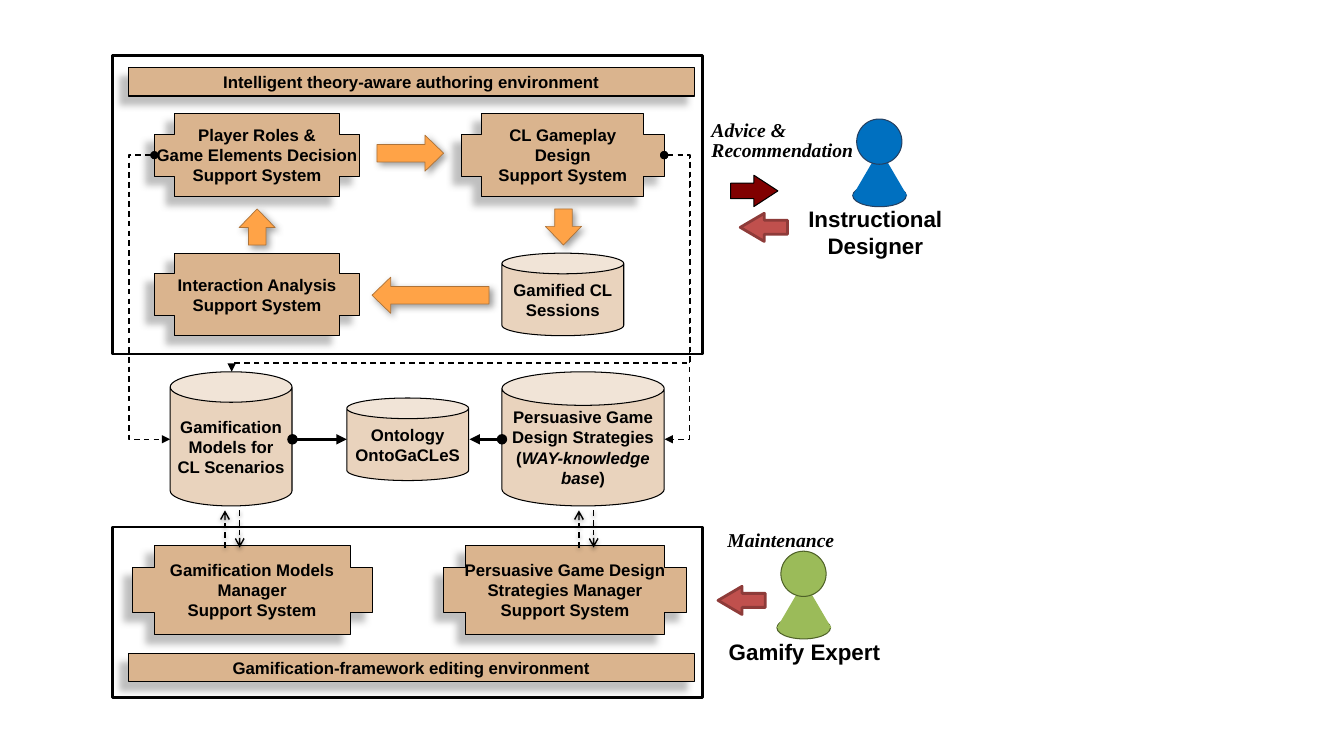
from dataclasses import dataclass

from lxml import etree
from pptx import Presentation
from pptx import util as u
from pptx.dml.color import RGBColor
from pptx.enum import dml, shapes, text
from pptx.oxml import ns

KIND = shapes.MSO_SHAPE
MID, LEFT = text.PP_ALIGN.CENTER, text.PP_ALIGN.LEFT


@dataclass(frozen=True)
class Theme:
    ink: str = "000000"
    tan: str = "DAB48E"
    sand: str = "E9D3BD"
    orange: str = "FFA347"
    rust: str = "AD7339"
    red: str = "C0504D"
    brick: str = "8E3B39"
    maroon: str = "800000"
    blue: str = "0070C0"
    navy: str = "254061"
    green: str = "9BBB59"
    olive: str = "4F6228"
    sans: str = "Arial"
    serif: str = "Times New Roman"
    label: int = 12
    note: int = 14
    role: int = 16
    # Shadows: colour, opacity %, blur pt, distance pt, angle
    deep: tuple = ("808080", 50, 5, 8.5, 135)
    soft: tuple = ("808080", 75, 5, 3, 45)
    faint: tuple = ("000000", 38, 3.1, 1.6, 90)


def child(node, tag, **attrs):
    item = etree.SubElement(node, ns.qn(tag))
    for key, value in attrs.items():
        item.set(key, str(value))
    return item


def shade(item, style=None):
    """Replace the inherited effects with the given shadow, or none."""
    effects = child(item._element.spPr, "a:effectLst")
    if style:
        tint, alpha, blur, dist, angle = style
        outer = child(effects, "a:outerShdw", blurRad=u.Pt(blur), dist=u.Pt(dist),
                      dir=angle * 60000, algn="ctr", rotWithShape=0)
        child(child(outer, "a:srgbClr", val=tint), "a:alpha", val=alpha * 1000)


class Sheet:
    def __init__(self, slide, theme):
        self.theme = theme
        self.root = self.area = slide.shapes

    def group(self):
        self.area = self.root.add_group_shape().shapes

    def shape(self, kind, box, fill=None, line=None, width=0.75, adj=(), shadow=None):
        item = self.area.add_shape(kind, *map(u.Cm, box))
        for i, value in enumerate(adj):
            item.adjustments[i] = value
        if fill:
            item.fill.solid()
            item.fill.fore_color.rgb = RGBColor.from_string(fill)
        else:
            item.fill.background()
        if line:
            item.line.color.rgb = RGBColor.from_string(line)
            item.line.width = u.Pt(width)
        else:
            item.line.fill.background()
        shade(item, shadow)
        return item

    def letter(self, frame, words, size, face, align=MID, slant=None, space=None):
        """One string per paragraph; *stars* mark italics."""
        frame.word_wrap = False
        for i, line in enumerate(words):
            para = frame.add_paragraph() if i else frame.paragraphs[0]
            para.alignment, para.line_spacing = align, space
            font = para.font
            font.size, font.name, font.bold, font.italic = u.Pt(size), face, True, slant
            font.color.rgb = RGBColor.from_string(self.theme.ink)
            for j, part in enumerate(line.split("*")):
                for k, bit in enumerate(part.split("\n")):
                    if k:
                        para.add_line_break()
                    run = para.add_run()
                    run.text = bit
                    if j % 2:
                        run.font.italic = True

    def block(self, kind, box, fill, *words, **look):
        t = self.theme
        item = self.shape(kind, box, fill, t.ink, **look)
        item.text_frame.vertical_anchor = text.MSO_ANCHOR.MIDDLE
        self.letter(item.text_frame, words, t.label, t.sans)

    def bar(self, top, words):
        self.block(KIND.FLOWCHART_PROCESS, (3.23, top, 14.27, 0.72), self.theme.tan,
                   words, shadow=self.theme.deep)

    def system(self, box, *words):
        self.block(KIND.CROSS, box, self.theme.tan, *words, adj=[0.246],
                   shadow=self.theme.deep)

    def store(self, box, *words):
        self.block(KIND.CAN, box, self.theme.sand, *words, adj=[0.25])

    def arrow(self, x, y, wide, long, turn, *look, **more):
        """Block arrow centred on x, y; it points down before the turn."""
        box = (x - wide / 2, y - long / 2, wide, long)
        self.shape(KIND.DOWN_ARROW, box, *look, **more).rotation = turn

    def flow(self, x, y, long, turn):
        t = self.theme
        self.arrow(x, y, 0.91, long, turn, t.orange, t.rust, 0.5,
                   adj=(0.484, 0.516), shadow=t.soft)

    def back(self, x, y):
        t = self.theme
        self.arrow(x, y, 0.71, 1.19, 90, t.red, t.brick, 2, adj=(0.498, 0.852))

    def person(self, x, y, fill, line):
        self.shape(KIND.OVAL, (x, y + 1.65, 1.35, 0.56), fill, line)
        self.shape(KIND.ISOSCELES_TRIANGLE, (x, y + 0.76, 1.37, 1.17), fill)
        self.shape(KIND.OVAL, (x + 0.1, y, 1.14, 1.14), fill, line)

    def caption(self, box, words, *style):
        frame = self.area.add_textbox(*map(u.Cm, box)).text_frame
        self.letter(frame, [words], *style)
        frame.auto_size = text.MSO_AUTO_SIZE.SHAPE_TO_FIT_TEXT

    def role(self, box, words):
        self.caption(box, words, self.theme.role, self.theme.sans)

    def note(self, box, words):
        self.caption(box, words, self.theme.note, self.theme.serif, LEFT, True, 0.85)

    def link(self, ends, width, head=None, tail="triangle", dash=True, bends=(),
             shadow=None):
        kind = shapes.MSO_CONNECTOR.ELBOW if bends else shapes.MSO_CONNECTOR.STRAIGHT
        item = self.area.add_connector(kind, *map(u.Cm, ends))
        item.line.color.rgb = RGBColor.from_string(self.theme.ink)
        item.line.width = u.Pt(width)
        if dash:
            item.line.dash_style = dml.MSO_LINE.DASH
        props = item._element.spPr
        stroke = props.find(ns.qn("a:ln"))
        if head:
            child(stroke, "a:headEnd", type=head)
        child(stroke, "a:tailEnd", type=tail)
        if bends:
            geom = props.find(ns.qn("a:prstGeom"))
            geom.set("prst", f"bentConnector{len(bends) + 2}")
            guides = geom.find(ns.qn("a:avLst"))
            for i, bend in enumerate(bends, 1):
                child(guides, "a:gd", name=f"adj{i}", fmla=f"val {round(bend * 100000)}")
        shade(item, shadow)


def main():
    deck = Presentation()
    deck.slide_width, deck.slide_height = u.Cm(33.87), u.Cm(19.05)
    t = Theme()
    s = Sheet(deck.slides.add_slide(deck.slide_layouts[6]), t)

    # Environment frames and headings
    for top, high in ((1.4, 7.52), (13.28, 4.29)):
        s.shape(KIND.FLOWCHART_PROCESS, (2.84, top, 14.86, high), None, t.ink, 2)
    s.bar(1.7, "Intelligent theory-aware authoring environment")
    s.bar(16.46, "Gamification-framework editing environment")

    # Support systems
    s.system((3.89, 2.87, 5.18, 2.08),
             "Player Roles &\nGame Elements Decision\nSupport System")
    s.system((11.63, 2.87, 5.11, 2.08), "CL Gameplay\nDesign", "Support System")
    s.system((3.89, 6.38, 5.18, 2.08), "Interaction Analysis", "Support System")
    s.system((3.33, 13.74, 6.05, 2.26), "Gamification Models\nManager", "Support System")
    s.system((11.18, 13.74, 6.12, 2.26),
             "Persuasive Game Design\nStrategies Manager", "Support System")

    # Data stores
    s.store((12.65, 6.38, 3.07, 2.08), "Gamified CL\nSessions")
    s.store((4.29, 9.37, 3.07, 3.38), "Gamification", "Models for\nCL Scenarios")
    s.store((8.74, 10.03, 3.07, 2.08), "Ontology\nOntoGaCLeS")
    s.store((12.65, 9.37, 4.09, 3.38),
            "Persuasive Game\nDesign Strategies\n(*WAY-knowledge\nbase*)")

    # Authoring cycle
    s.flow(10.34, 3.86, 1.68, 270)
    s.flow(14.2, 5.72, 0.91, 0)
    s.flow(10.85, 7.44, 2.95, 90)
    s.flow(6.48, 5.72, 0.91, 180)

    # Links between managers and stores
    for x in (5.67, 14.59):
        s.link((x, 13.8, x, 12.86), 1, tail="arrow", shadow=t.faint)
        s.link((x + 0.37, 12.86, x + 0.37, 13.8), 1, tail="arrow", shadow=t.faint)

    # Links between systems and stores
    for ends, bends in (((16.74, 3.91, 16.75, 11.07), [63.5]),
                        ((3.89, 3.91, 4.29, 11.07), [-1.6]),
                        ((16.74, 3.91, 5.84, 9.37), [-0.06, 0.96])):
        s.link(ends, 1, "oval", bends=bends)
    for start, end in ((7.37, 8.74), (12.65, 11.83)):
        s.link((start, 11.07, end, 11.07), 2.5, "oval", dash=False)

    # Instructional designer
    s.group()
    s.role((20.09, 5.05, 3.94, 1.63), "Instructional\nDesigner")
    s.back(19.25, 5.73)
    s.arrow(19.01, 4.81, 0.79, 1.19, 270, t.maroon, t.ink, adj=(0.498, 0.767))
    s.note((17.68, 2.95, 4.11, 1.27), "Advice &\nRecommendation")
    s.person(21.49, 3, t.blue, t.navy)

    # Gamify expert
    s.group()
    s.role((18.08, 15.95, 4.39, 0.94), "Gamify Expert")
    s.person(19.58, 13.89, t.green, t.olive)
    s.back(18.69, 15.13)
    s.note((18.08, 13.26, 3.23, 0.76), "Maintenance")

    deck.save("out.pptx")


if __name__ == "__main__":
    main()
